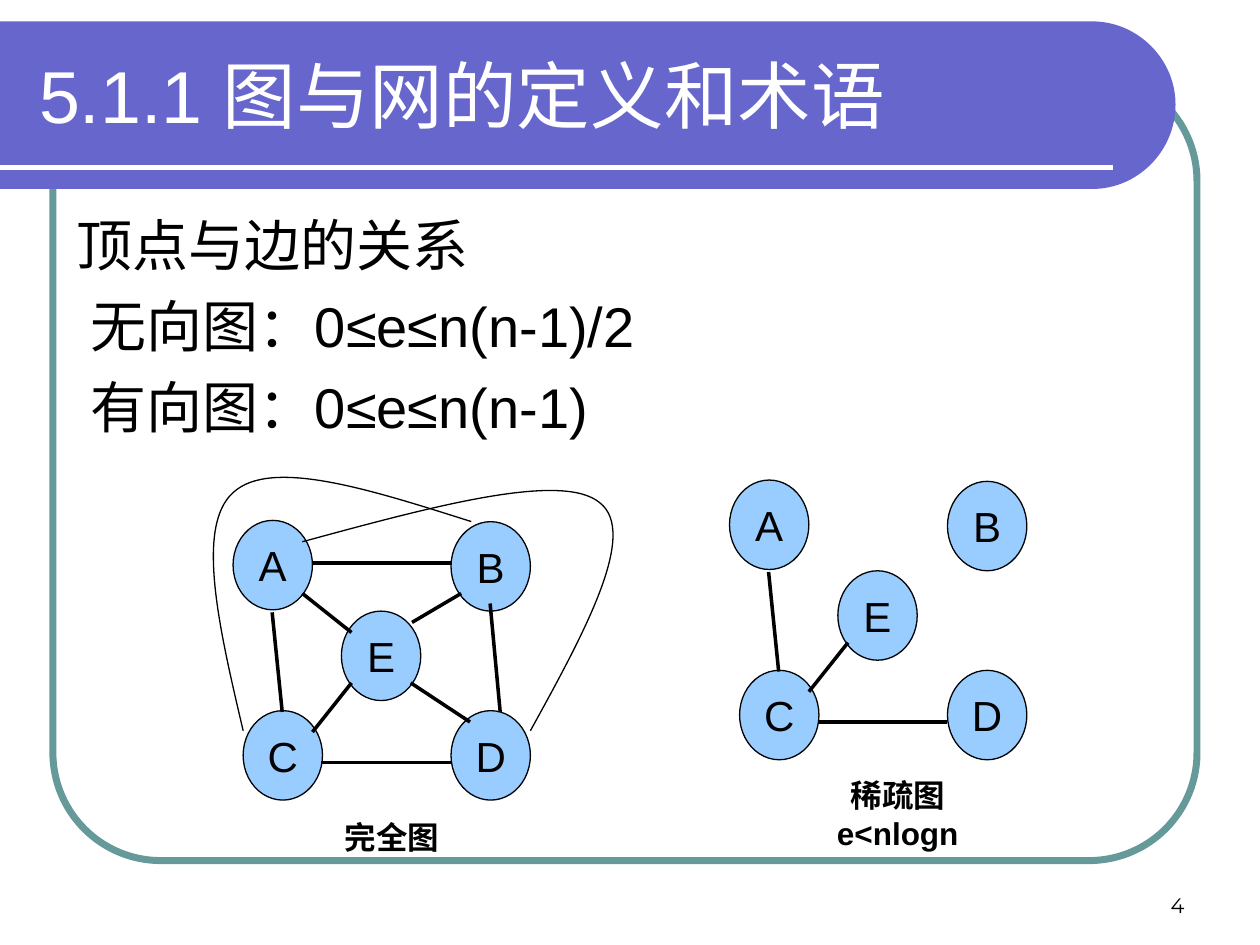
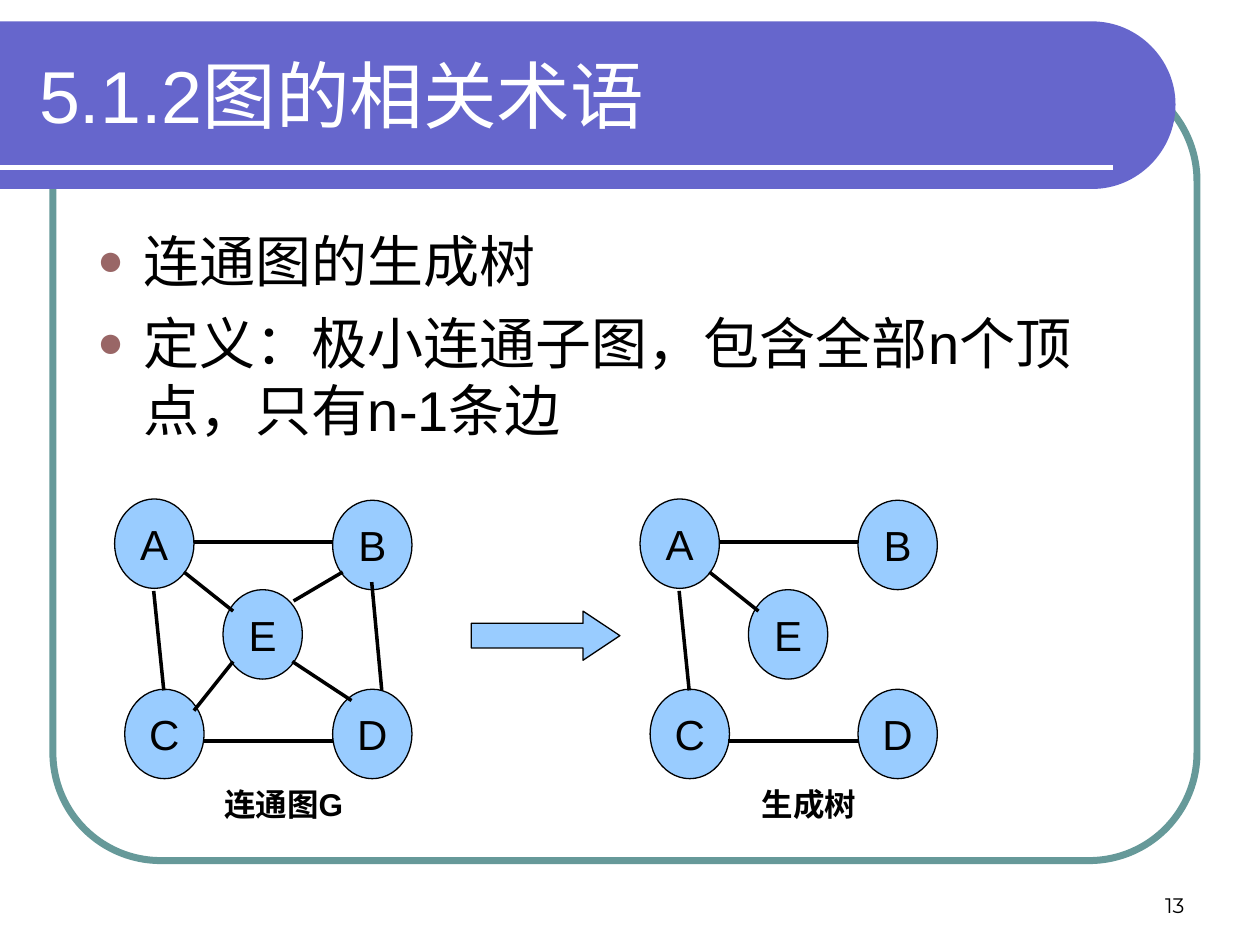
"""Build two slides on graph terminology with node-and-edge diagrams."""
from dataclasses import dataclass

from lxml.etree import SubElement
from pptx import Presentation
from pptx.dml.color import RGBColor
from pptx.enum.shapes import MSO_CONNECTOR, MSO_SHAPE
from pptx.enum.text import MSO_ANCHOR, MSO_AUTO_SIZE, PP_ALIGN
from pptx.oxml.ns import qn
from pptx.util import Inches, Pt


@dataclass(frozen=True)
class Theme:
    band: str = "6666CC"
    frame: str = "669999"
    node: str = "99CCFF"
    bullet: str = "996666"
    ink: str = "000000"
    paper: str = "FFFFFF"
    font: str = "Arial"
    number_font: str = "Montserrat"
    title: int = 42
    body: int = 32
    label: int = 24
    caption: int = 18
    number: int = 12
    thin: float = 0.75
    edge: int = 2
    rule: int = 3
    outline: int = 4


THEME = Theme()
NODE_SIZE = (0.63, 0.71)
NODES = {"A": (0, 0), "D": (1.73, 1.51), "C": (0.08, 1.51), "B": (1.73, 0.01), "E": (0.86, 0.72)}
EDGES = {
    "AE": ((0.55, 0.58), (0.94, 0.89)),
    "ED": ((1.41, 1.29), (1.88, 1.6)),
    "BD": ((2.04, 0.66), (2.12, 1.52)),
    "AB": ((0.63, 0.34), (1.73, 0.34)),
    "AC": ((0.31, 0.73), (0.39, 1.52)),
    "CD": ((0.7, 1.92), (1.73, 1.92)),
    "CE": ((0.63, 1.68), (0.94, 1.29)),
    "BE": ((1.81, 0.58), (1.42, 0.81)),
}
BAND = [(0, 0.17), [(8.67, 0.17)], [(9.03, 0.17), (9.33, 0.47), (9.33, 0.83)],
        [(9.33, 1.2), (9.03, 1.5), (8.67, 1.5)], [(0, 1.5)]]

SLIDES = [
    {
        "title": "5.1.1 图与网的定义和术语",
        "body_at": (0.51, 1.62, 8.67, 4.83),
        "bulleted": False,
        "body": [("顶点与边的关系", 0), ("无向图：0≤e≤n(n-1)/2", 0.11), ("有向图：0≤e≤n(n-1)", 0.11)],
        "graphs": [
            {"origin": (1.85, 4.13), "edges": list(EDGES),
             "caption": "完全图", "caption_at": (2.56, 6.44, 1.1, 0.4)},
            {"origin": (5.79, 3.81), "edges": ["AC", "CD", "CE"],
             "caption": "稀疏图e<nlogn", "caption_at": (6.34, 6.11, 1.57, 0.7)},
        ],
        "arcs": [
            [(3.74, 4.14), [(2.95, 3.89), (2.15, 3.63), (1.85, 3.91)],
             [(1.55, 4.18), (1.74, 4.99), (1.93, 5.8)]],
            [(4.21, 5.8), [(4.64, 5.02), (5.07, 4.23), (4.76, 3.99)],
             [(4.46, 3.74), (3.43, 4.02), (2.4, 4.3)]],
        ],
        "arrow_at": None,
        "number": "4",
    },
    {
        "title": "5.1.2图的相关术语",
        "body_at": (0.67, 1.75, 8.67, 4.83),
        "bulleted": True,
        "body": [("连通图的生成树", 0), ("定义：极小连通子图，包含全部n个顶点，只有n-1条边", 0)],
        "graphs": [
            {"origin": (0.91, 3.96), "edges": list(EDGES),
             "caption": "连通图G", "caption_at": (1.54, 6.18, 1.42, 0.4)},
            {"origin": (5.08, 3.96), "edges": ["AE", "AB", "AC", "CD"],
             "caption": "生成树", "caption_at": (5.71, 6.18, 1.42, 0.4)},
        ],
        "arcs": [],
        "arrow_at": (3.74, 4.85, 1.18, 0.39),
        "number": "13",
    },
]


def inches(values):
    return [Inches(value) for value in values]


def write(paragraph, text, size, color=THEME.ink, font=THEME.font, bold=False, align=PP_ALIGN.LEFT):
    paragraph.alignment = align
    run = paragraph.add_run()
    run.text = text
    run.font.size, run.font.name, run.font.bold = Pt(size), font, bold
    run.font.color.rgb = RGBColor.from_string(color)


def paint(shape, fill=None, line=None, width=THEME.thin):
    shape.shadow.inherit = False
    if fill:
        shape.fill.solid()
        shape.fill.fore_color.rgb = RGBColor.from_string(fill)
    else:
        shape.fill.background()
    if line:
        shape.line.color.rgb = RGBColor.from_string(line)
        shape.line.width = Pt(width)
    else:
        shape.line.fill.background()
    return shape


def add_line(slide, start, end, color=THEME.ink, width=THEME.edge):
    line = slide.shapes.add_connector(MSO_CONNECTOR.STRAIGHT, *inches(start + end))
    line.line.color.rgb = RGBColor.from_string(color)
    line.line.width = Pt(width)
    SubElement(line.element.spPr, qn("a:effectLst"))
    return line


def add_outline(slide, outline, close=False):
    start, *segments = outline
    builder = slide.shapes.build_freeform(*inches(start))
    builder.add_line_segments([inches(point) for segment in segments for point in segment], close=close)
    shape = builder.convert_to_shape()
    steps = iter(list(shape.element.iter(qn("a:lnTo"))))
    for segment in segments:
        first, *others = [next(steps) for _ in segment]
        if others:
            first.tag = qn("a:cubicBezTo")
        for other in others:
            first.append(other[0])
            other.getparent().remove(other)
    return shape


def add_text(slide, at, text, anchor=MSO_ANCHOR.TOP, **style):
    frame = slide.shapes.add_textbox(*inches(at)).text_frame
    frame.word_wrap = True
    frame.vertical_anchor = anchor
    write(frame.paragraphs[0], text, **style)


def move_placeholder(holder, at, anchor):
    holder.left, holder.top, holder.width, holder.height = inches(at)
    frame = holder.text_frame
    frame.word_wrap = True
    frame.auto_size = MSO_AUTO_SIZE.NONE
    frame.vertical_anchor = anchor
    return frame


def set_marker(paragraph, bulleted, indent):
    properties = paragraph._p.get_or_add_pPr()
    hanging = 0.37 if bulleted else 0
    properties.set("marL", str(Inches(indent + hanging)))
    properties.set("indent", str(Inches(-hanging)))
    properties.set("hangingPunct", "0")
    if not bulleted:
        SubElement(properties, qn("a:buNone"))
        return
    color = SubElement(properties, qn("a:buClr"))
    SubElement(color, qn("a:srgbClr"), val=THEME.bullet)
    SubElement(properties, qn("a:buSzPct"), val="80000")
    SubElement(properties, qn("a:buFont"), typeface=THEME.font)
    SubElement(properties, qn("a:buChar"), char="●")


def fill_body(slide, content):
    frame = move_placeholder(slide.placeholders[1], content["body_at"], MSO_ANCHOR.TOP)
    for index, (text, indent) in enumerate(content["body"]):
        paragraph = frame.add_paragraph() if index else frame.paragraphs[0]
        paragraph.space_before = Pt(8 if index else 0)
        set_marker(paragraph, content["bulleted"], indent)
        write(paragraph, text, THEME.body)


def draw_graph(slide, graph):
    left, top = graph["origin"]
    for label, (dx, dy) in NODES.items():
        node = slide.shapes.add_shape(MSO_SHAPE.OVAL, *inches((left + dx, top + dy, *NODE_SIZE)))
        paint(node, THEME.node, THEME.ink)
        node.text_frame.word_wrap = False
        node.text_frame.vertical_anchor = MSO_ANCHOR.MIDDLE
        write(node.text_frame.paragraphs[0], label, THEME.label, align=PP_ALIGN.CENTER)
    for edge in graph["edges"]:
        start, end = [(left + dx, top + dy) for dx, dy in EDGES[edge]]
        add_line(slide, start, end)
    add_text(slide, graph["caption_at"], graph["caption"], size=THEME.caption, bold=True,
             align=PP_ALIGN.CENTER)


def dress_layout(layout, slide):
    for footer in list(layout.placeholders)[2:]:
        footer.element.getparent().remove(footer.element)
    frame = slide.shapes.add_shape(MSO_SHAPE.ROUNDED_RECTANGLE, *inches((0.42, 0.58, 9.08, 6.25)))
    frame.adjustments[0] = 0.137
    paint(frame, line=THEME.frame, width=THEME.outline)
    band = paint(add_outline(slide, BAND, close=True), THEME.band)
    rule = add_line(slide, (0, 1.33), (8.83, 1.33), THEME.paper, THEME.rule)
    for part in (frame, band, rule):
        layout.shapes.element.append(part.element)


def fill_slide(slide, content):
    title = move_placeholder(slide.shapes.title, (0.21, 0.25, 8.77, 1), MSO_ANCHOR.MIDDLE)
    write(title.paragraphs[0], content["title"], THEME.title, THEME.paper)
    fill_body(slide, content)
    for graph in content["graphs"]:
        draw_graph(slide, graph)
    for arc in content["arcs"]:
        paint(add_outline(slide, arc), line=THEME.ink)
    if content["arrow_at"]:
        arrow = slide.shapes.add_shape(MSO_SHAPE.RIGHT_ARROW, *inches(content["arrow_at"]))
        arrow.adjustments[0], arrow.adjustments[1] = 0.5, 0.75
        paint(arrow, THEME.node, THEME.ink)
    add_text(slide, (7.17, 6.83, 2.33, 0.5), content["number"], MSO_ANCHOR.BOTTOM,
             size=THEME.number, font=THEME.number_font, align=PP_ALIGN.RIGHT)


def main():
    deck = Presentation()
    deck.slide_width, deck.slide_height = Inches(10), Inches(7.5)
    layout = deck.slide_layouts[1]
    for index, content in enumerate(SLIDES):
        slide = deck.slides.add_slide(layout)
        if index == 0:
            dress_layout(layout, slide)
        fill_slide(slide, content)
    deck.save("out.pptx")


if __name__ == "__main__":
    main()
